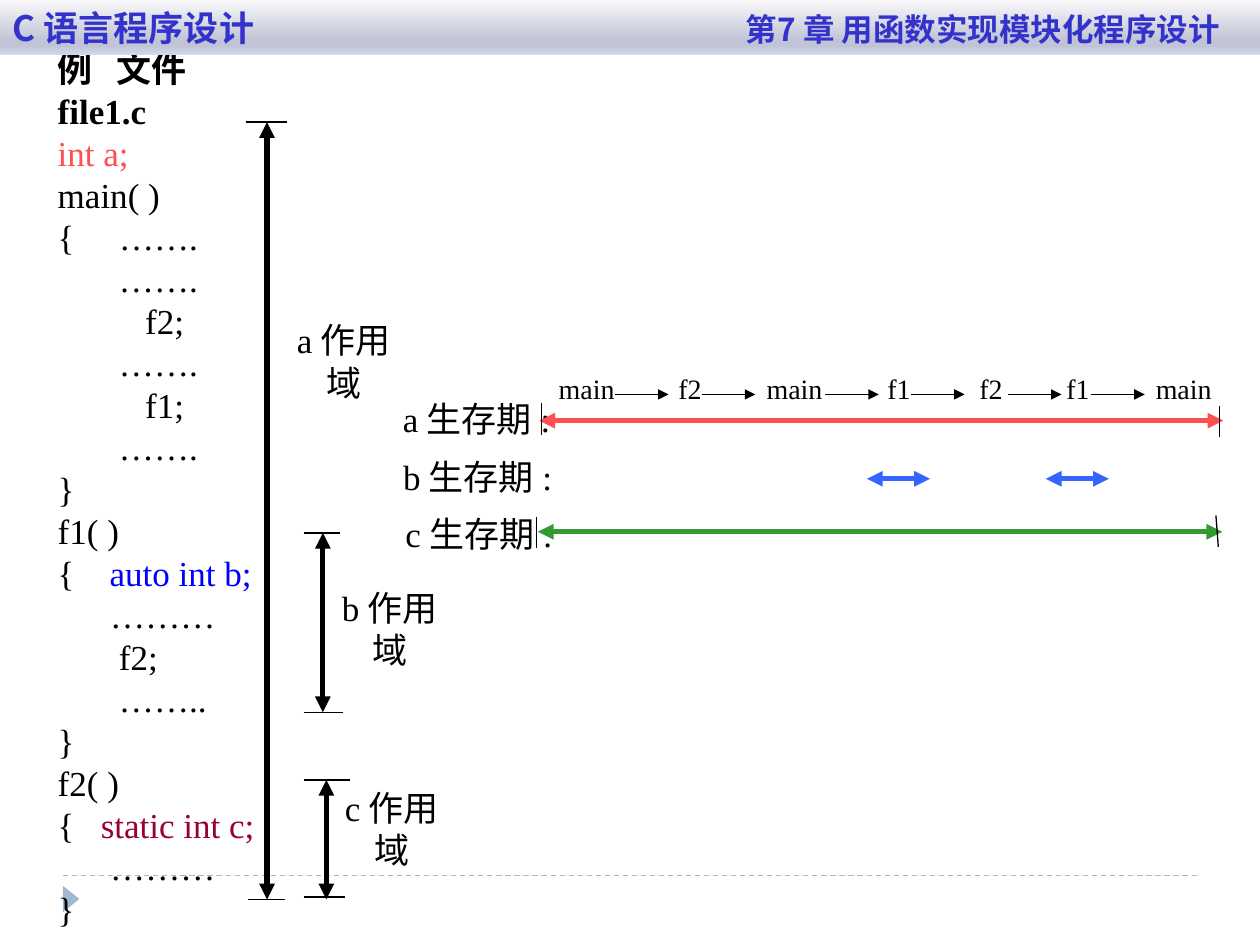
from dataclasses import dataclass

from lxml import etree
from pptx import Presentation
from pptx import util as u
from pptx.dml.color import RGBColor
from pptx.enum import dml, shapes, text
from pptx.oxml import ns


@dataclass(frozen=True)
class Theme:
    latin: str = "Times New Roman"
    asian: str = "Noto Sans CJK JP"
    black: str = "000000"
    red: str = "FF5050"
    blue: str = "0000FF"
    bar_blue: str = "3366FF"
    maroon: str = "990033"
    green: str = "339933"
    title: str = "3333CC"
    accent: str = "9FB8CD"
    gradient: tuple = ((0, "F8F8FA"), (74, "C0C4D6"), (83, "C0C4D6"), (100, "D5D8E3"))
    body: float = 20
    subtitle: float = 18
    small: float = 16
    thin: float = 0.75
    thick: float = 3


def add_child(parent, tag, **attributes):
    child = etree.SubElement(parent, ns.qn(tag))
    for name, value in attributes.items():
        child.set(name, str(value))
    return child


def write_run(paragraph, content, size=20, color="000000", bold=False,
              latin="Times New Roman", asian="Noto Sans CJK JP"):
    run = paragraph.add_run()
    run.text = content
    font = run.font
    font.size, font.bold, font.name = u.Pt(size), bold, latin
    font.color.rgb = RGBColor.from_string(color)
    add_child(run._r.get_or_add_rPr(), "a:ea", typeface=asian)


class SlideBuilder:
    def __init__(self, slide, theme):
        self.slide = slide
        self.theme = theme

    def line(self, start, end, color=None, width=None, head=False, tail=False, dashed=False):
        connector = self.slide.shapes.add_connector(
            shapes.MSO_CONNECTOR.STRAIGHT, *map(u.Pt, (*start, *end)))
        connector.line.color.rgb = RGBColor.from_string(color or self.theme.black)
        connector.line.width = u.Pt(width or self.theme.thin)
        if dashed:
            connector.line.dash_style = dml.MSO_LINE.DASH
        outline = connector.line._get_or_add_ln()
        if head:
            add_child(outline, "a:headEnd", type="triangle")
        if tail:
            add_child(outline, "a:tailEnd", type="triangle")
        add_child(connector._element.spPr, "a:effectLst")

    def span(self, start, end, color=None):
        self.line(start, end, color, self.theme.thick, head=True, tail=True)

    def shape(self, kind, box, color=None, rotation=0):
        shape = self.slide.shapes.add_shape(kind, *map(u.Pt, box))
        shape.shadow.inherit = False
        shape.line.fill.background()
        shape.rotation = rotation
        if color:
            shape.fill.solid()
            shape.fill.fore_color.rgb = RGBColor.from_string(color)
        return shape

    def paragraph(self, frame, runs, first, align, tab=None, tab_align="l"):
        paragraph = frame.paragraphs[0] if first else frame.add_paragraph()
        paragraph.alignment = align
        if tab:
            tabs = add_child(paragraph._p.get_or_add_pPr(), "a:tabLst")
            add_child(tabs, "a:tab", pos=int(u.Pt(tab)), algn=tab_align)
        for content, style in runs:
            write_run(paragraph, content, latin=style.pop("latin", self.theme.latin),
                      asian=self.theme.asian, **style)

    def text_box(self, box):
        frame = self.slide.shapes.add_textbox(*map(u.Pt, box)).text_frame
        frame.word_wrap = True
        frame.vertical_anchor = text.MSO_ANCHOR.MIDDLE
        return frame

    def label(self, content, box, size=None):
        style = dict(size=size or self.theme.body, color=self.theme.black)
        self.paragraph(self.text_box(box), [(content, style)], True, text.PP_ALIGN.CENTER)

    def code(self, lines, box):
        frame = self.text_box(box)
        for index, (runs, tab) in enumerate(lines):
            styled = [(content, dict(size=self.theme.body, color=color, bold=index == 0))
                      for content, color in runs]
            self.paragraph(frame, styled, index == 0, text.PP_ALIGN.LEFT, tab)

    def header(self, left, right, box, tab):
        theme = self.theme
        shape = self.shape(shapes.MSO_SHAPE.RECTANGLE, box)
        shape.fill.gradient()
        shape.fill.gradient_angle = 270
        stops = shape._element.spPr.find(ns.qn("a:gradFill")).find(ns.qn("a:gsLst"))
        for stop in list(stops):
            stops.remove(stop)
        for position, color in theme.gradient:
            stop = add_child(stops, "a:gs", pos=position * 1000)
            add_child(stop, "a:srgbClr", val=color)
        frame = shape.text_frame
        frame.word_wrap = True
        frame.margin_top = frame.margin_bottom = 0
        frame.vertical_anchor = text.MSO_ANCHOR.MIDDLE
        runs = [(content, dict(size=size, color=theme.title, bold=True, latin=theme.asian))
                for content, size in ((left + "\t", theme.body), (right, theme.subtitle))]
        self.paragraph(frame, runs, True, text.PP_ALIGN.LEFT, tab, "r")


def main():
    theme = Theme()
    presentation = Presentation()
    presentation.slide_width, presentation.slide_height = u.Pt(720), u.Pt(540)
    slide = presentation.slides.add_slide(presentation.slide_layouts[6])
    builder = SlideBuilder(slide, theme)

    builder.line((36, 500.4), (684, 500.4), theme.accent, dashed=True)
    builder.shape(shapes.MSO_SHAPE.ISOSCELES_TRIANGLE, (33.1, 509, 15.1, 9.4), theme.accent, 90)

    def plain(content, tab=None):
        return [(content, theme.black)], tab

    builder.code([
        plain("例\t文件file1.c", 33.5),
        ([("int a;", theme.red)], None),
        plain("main( )"),
        plain("{\t…….", 35),
        plain("       ……."),
        plain("          f2;"),
        plain("       ……."),
        plain("          f1;"),
        plain("       ……."),
        plain("}"),
        plain("f1( )"),
        ([("{\t", theme.black), ("auto int b;", theme.blue)], 29.6),
        plain("      ………"),
        plain("       f2;"),
        plain("       …….."),
        plain("}"),
        plain("f2( )"),
        ([("{\t", theme.black), ("static int c;", theme.maroon)], 24.6),
        plain("      ………"),
        plain("}"),
    ], (25.9, 35.3, 140.4, 487.4))

    scopes = [
        ("c作用域", (182.2, 457.9, 83.5, 31), 186.5, (445.7, 514), (173.5, 200.2), (512.6, 173.5, 197.3)),
        ("b作用域", (180.7, 343.4, 84.2, 31), 184.5, (304.5, 407), (173.5, 194.4), (407, 173.5, 195.8)),
        ("a作用域", (154.8, 190.8, 83.5, 31), 152.6, (69.8, 514), (140.4, 164.2), (514, 141.8, 162.7)),
    ]
    for name, box, x, (top, bottom), (left, right), (foot, foot_left, foot_right) in scopes:
        builder.span((x, top), (x, bottom))
        builder.line((left, top), (right, top))
        builder.line((foot_left, foot), (foot_right, foot))
        builder.label(name, box)

    calls = [("main", 311.8), ("f2", 380.2), ("main", 430.6), ("f1", 499.7),
             ("f2", 552.2), ("f1", 601.9), ("main", 653)]
    for name, left in calls:
        width = 46.8 if name == "main" else 28.1
        builder.label(name, (left, 208.8, width, 26.6), theme.small)
    for left in (351.4, 401, 471.6, 520.6, 576, 623.5):
        builder.line((left, 225.4), (left + 30.6, 225.4), tail=True)

    lifetimes = [
        ("b生存期:", (223.2, 257, 90, 31), 273.6, theme.bar_blue, [(495.4, 531.4), (597.6, 633.6)], []),
        ("c生存期:", (224.6, 289.4, 88.6, 31), 303.9, theme.green, [(307.4, 698.4)],
         [(306.7, 306.7, 295.2), (694.8, 696.2, 294.5)]),
        ("a生存期:", (223.2, 223.9, 88.6, 31), 240.4, theme.red, [(308.2, 699.1)],
         [(309.6, 309.6, 230.4), (697, 697, 231.8)]),
    ]
    for name, box, y, color, bars, ticks in lifetimes:
        builder.label(name, box)
        for start, end in bars:
            builder.span((start, y), (end, y), color)
        for top_x, bottom_x, top in ticks:
            builder.line((top_x, top), (bottom_x, top + 18))

    builder.header("C语言程序设计", "第7章 用函数实现模块化程序设计", (0, 0, 720, 31.5), 690)
    presentation.save("out.pptx")


if __name__ == "__main__":
    main()
